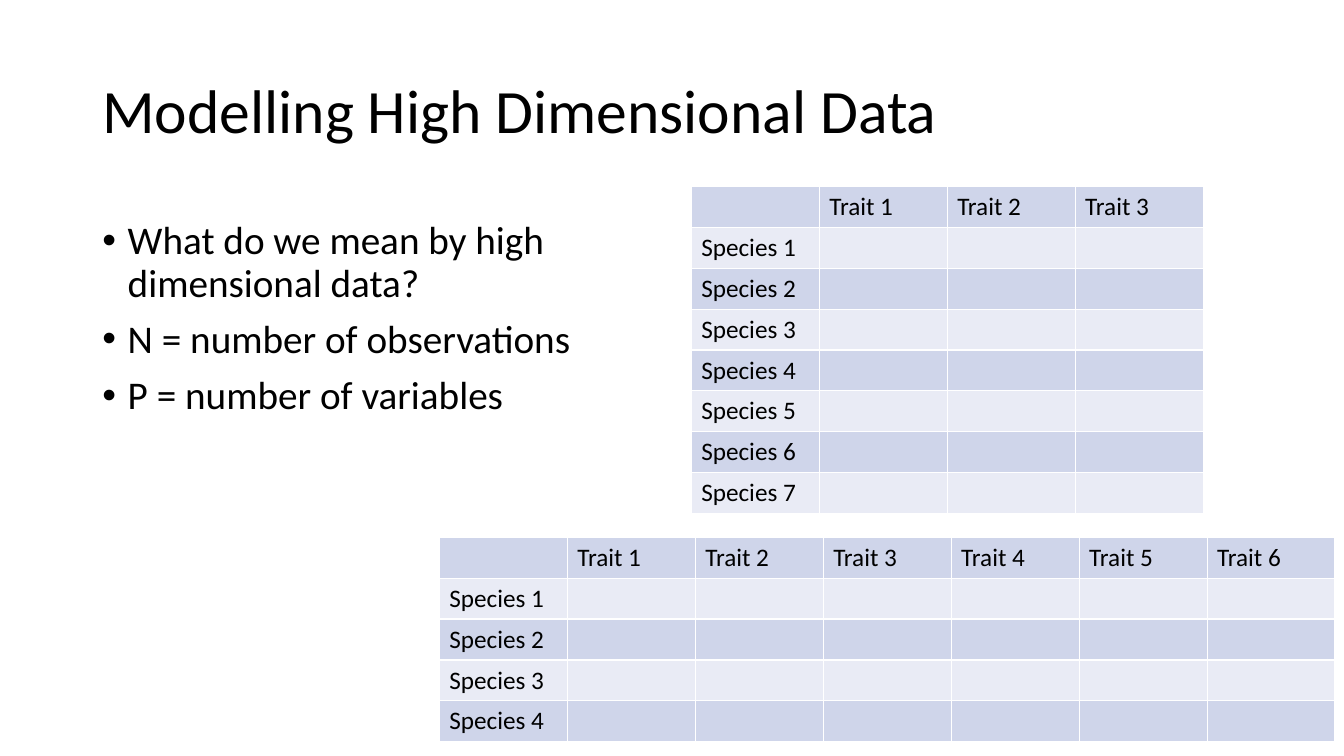
from dataclasses import dataclass

from lxml.etree import SubElement
from pptx import Presentation
from pptx.dml.color import RGBColor
from pptx.enum.text import MSO_ANCHOR
from pptx.oxml.ns import qn
from pptx.util import Cm, Pt


@dataclass(frozen=True)
class Theme:
    """Colours and type sizes of the slide."""
    font: str = "Calibri"
    text: str = "000000"
    border: str = "FFFFFF"
    bands: tuple = ("CFD5EA", "E9EBF5")
    title_size: int = 44
    body_size: int = 28
    table_size: int = 18
    border_width: int = 1


THEME = Theme()


def style_paragraph(paragraph, size):
    """Apply the theme font at the given size."""
    paragraph.font.name = THEME.font
    paragraph.font.size = Pt(size)
    paragraph.font.color.rgb = RGBColor.from_string(THEME.text)


def add_text_frame(slide, box):
    """Add a wrapping text box and return its text frame."""
    frame = slide.shapes.add_textbox(*map(Cm, box)).text_frame
    frame.word_wrap = True
    return frame


def add_title(slide, box, title):
    """Add the slide title, centred vertically in its box."""
    frame = add_text_frame(slide, box)
    frame.vertical_anchor = MSO_ANCHOR.MIDDLE
    heading = frame.paragraphs[0]
    heading.text = title
    heading.line_spacing = 0.9
    style_paragraph(heading, THEME.title_size)


def add_bullets(slide, box, points):
    """Add a bulleted list with hanging indents."""
    frame = add_text_frame(slide, box)
    for index, point in enumerate(points):
        bullet = frame.add_paragraph() if index else frame.paragraphs[0]
        bullet.text = point
        bullet.line_spacing = 0.9
        if index:
            bullet.space_before = Pt(10)
        properties = bullet._p.get_or_add_pPr()
        indent = Cm(0.64)
        properties.set("marL", str(indent))
        properties.set("indent", str(-indent))
        SubElement(properties, qn("a:buFont"), typeface="Arial")
        SubElement(properties, qn("a:buChar"), char="•")
        style_paragraph(bullet, THEME.body_size)


def add_cell_borders(cell):
    """Draw a thin solid line on all four sides of a cell."""
    properties = cell._tc.get_or_add_tcPr()
    for side in ("lnL", "lnR", "lnT", "lnB"):
        line = SubElement(properties, qn(f"a:{side}"), w=str(Pt(THEME.border_width)))
        fill = SubElement(line, qn("a:solidFill"))
        SubElement(fill, qn("a:srgbClr"), val=THEME.border)


def add_trait_table(slide, box, species_count, trait_count):
    """Add a banded grid of species by traits with empty values."""
    grid = slide.shapes.add_table(
        species_count + 1, trait_count + 1, *map(Cm, box)).table
    grid.first_row = False
    for row_index, row in enumerate(grid.rows):
        band = THEME.bands[row_index % len(THEME.bands)]
        for column_index, cell in enumerate(row.cells):
            if row_index == 0 and column_index:
                cell.text = f"Trait {column_index}"
            elif row_index and column_index == 0:
                cell.text = f"Species {row_index}"
            style_paragraph(cell.text_frame.paragraphs[0], THEME.table_size)
            add_cell_borders(cell)
            cell.fill.solid()
            cell.fill.fore_color.rgb = RGBColor.from_string(band)


def main():
    """Build and save the presentation."""
    deck = Presentation()
    deck.slide_width, deck.slide_height = Cm(33.87), Cm(19.05)
    slide = deck.slides.add_slide(deck.slide_layouts[6])
    add_title(slide, (2.33, 1.02, 29.21, 3.68), "Modelling High Dimensional Data")
    add_bullets(slide, (2.33, 5.44, 14.12, 7.49), (
        "What do we mean by high dimensional data?",
        "N = number of observations",
        "P = number of variables",
    ))
    add_trait_table(slide, (11.07, 13.54, 22.58, 5.15), species_count=4, trait_count=6)
    add_trait_table(slide, (17.42, 4.7, 12.9, 8.24), species_count=7, trait_count=3)
    deck.save("out.pptx")


if __name__ == "__main__":
    main()
